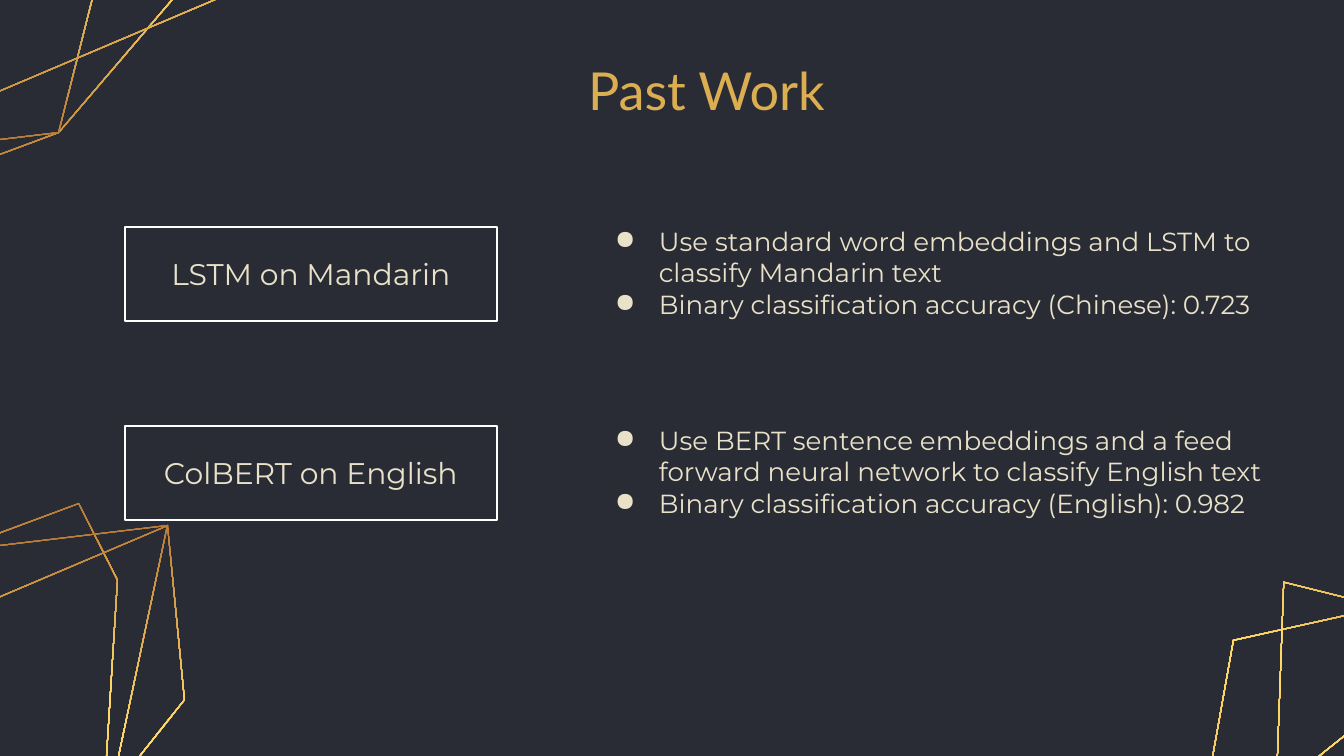
from dataclasses import dataclass
from math import cos, radians, sin

from lxml.etree import SubElement
from pptx import Presentation
from pptx.dml.color import RGBColor as Color
from pptx.enum.shapes import MSO_SHAPE as Shape
from pptx.enum.text import MSO_ANCHOR as Anchor, PP_ALIGN as Align
from pptx.oxml.ns import qn
from pptx.util import Pt

PX = 914400 / 134.4


@dataclass(frozen=True)
class Theme:
    background: str = "292C35"
    gold: str = "DCAE52"
    cream: str = "E9E2C9"
    outline: str = "FFFFFF"
    gradient: tuple = ((0, "AF7132"), (50, "FFDD6B"), (100, "DCAE52"))
    gradient_angle: float = 84.4
    heading_font: str = "Lato"
    body_font: str = "Montserrat"
    title_size: int = 28
    label_size: int = 16
    body_size: int = 14


THEME = Theme()

# Three overlapping polygons, clockwise, relative to the motif's left corner.
LEFT, LOWER_LEFT, UPPER_LEFT, TIP = 0, 80 + 158j, 170 - 199j, 388 - 225j
INNER_RIGHT, BOTTOM = 322 + 87j, 196 + 213j
MOTIF = (
    (LOWER_LEFT, LEFT, UPPER_LEFT, 299 - 247j, 338 - 170j, INNER_RIGHT),
    (BOTTOM, LOWER_LEFT, UPPER_LEFT, TIP, INNER_RIGHT),
    (BOTTOM, 4 - 62j, TIP, 405 - 50j),
)
# Left corner, clockwise turn in degrees, magnification.
MOTIF_PLACES = ((-220 + 750j, 0, 1), (229 - 66j, 180, 1), (1233 + 640j, 37, 1.24))
MOTIF_STROKE = 1

ROWS = (
    ("LSTM on Mandarin", 703, (
        "Use standard word embeddings and LSTM to classify Mandarin text",
        "Binary classification accuracy (Chinese): 0.723")),
    ("ColBERT on English", 745, (
        "Use BERT sentence embeddings and a feed forward neural network to classify English text",
        "Binary classification accuracy (English): 0.982")),
)
ROW_LEFT, ROW_TOP, ROW_PITCH = 125, 227, 199


def emu(*lengths):
    return [round(length * PX) for length in lengths]


def apply_format(target, values):
    for name, value in values.items():
        setattr(target, name, value)


def write_text(shape, lines, font, size, color, align):
    frame = shape.text_frame
    margins = dict.fromkeys(
        ("margin_left", "margin_top", "margin_right", "margin_bottom"), emu(13)[0])
    apply_format(frame, {"word_wrap": True, "vertical_anchor": Anchor.MIDDLE, **margins})
    frame.text = "\n".join(lines)
    for paragraph in frame.paragraphs:
        paragraph.alignment = align
        run_font = paragraph.runs[0].font
        apply_format(run_font, {"name": font, "size": Pt(size)})
        run_font.color.rgb = Color.from_string(color)


def add_bullet(paragraph):
    properties = paragraph._p.get_or_add_pPr()
    indent, hanging = emu(67, -44)
    properties.set("marL", str(indent))
    properties.set("indent", str(hanging))
    color = SubElement(properties, qn("a:buClr"))
    SubElement(color, qn("a:srgbClr"), val=THEME.cream)
    SubElement(properties, qn("a:buChar"), char="●")


def inset(corners, distance):
    """Move each side of a clockwise polygon inwards by the distance."""
    following = corners[1:] + corners[:1]
    normals = [1j * (end - start) / abs(end - start)
               for start, end in zip(corners, following)]
    moved = []
    for index, corner in enumerate(corners):
        before, after = normals[index - 1], normals[index]
        overlap = (before * after.conjugate()).real
        moved.append(corner + distance * (before + after) / (1 + overlap))
    return moved


def fill_gradient(shape, angle):
    shape.fill.gradient()
    gradient = shape._element.spPr.find(qn("a:gradFill"))
    for child in list(gradient):
        gradient.remove(child)
    stops = SubElement(gradient, qn("a:gsLst"))
    for position, value in THEME.gradient:
        stop = SubElement(stops, qn("a:gs"), pos=str(position * 1000))
        SubElement(stop, qn("a:srgbClr"), val=value)
    SubElement(gradient, qn("a:lin"), ang=str(round(angle * 60000)), scaled="0")


def add_motif(slide, corner, turn, magnification):
    rotation = magnification * complex(cos(radians(turn)), sin(radians(turn)))
    for polygon in MOTIF:
        outer = [corner + rotation * point for point in polygon]
        contours = [[emu(point.real, point.imag) for point in contour]
                    for contour in (outer, inset(outer, MOTIF_STROKE))]
        builder = slide.shapes.build_freeform(*contours[0][0])
        builder.add_line_segments(contours[0][1:])
        builder.move_to(*contours[1][0])
        builder.add_line_segments(contours[1][1:])
        shape = builder.convert_to_shape()
        shape.shadow.inherit = False
        shape.line.fill.background()
        fill_gradient(shape, THEME.gradient_angle + turn)


def add_title(slide, left, top, width, height):
    box = slide.shapes.add_textbox(*emu(left, top, width, height))
    write_text(box, ["Past Work"], THEME.heading_font, THEME.title_size,
               THEME.gold, Align.CENTER)


def add_row(slide, left, top, label, text_width, findings):
    """Place a framed label with its bulleted findings to the right."""
    frame = slide.shapes.add_shape(Shape.RECTANGLE, *emu(left, top, 372, 94))
    frame.shadow.inherit = False
    frame.fill.background()
    frame.line.color.rgb = Color.from_string(THEME.outline)
    frame.line.width = Pt(0.75)
    write_text(frame, [label], THEME.body_font, THEME.label_size,
               THEME.cream, Align.CENTER)

    box = slide.shapes.add_textbox(*emu(left + 454, top - 27, text_width, 145))
    write_text(box, findings, THEME.body_font, THEME.body_size,
               THEME.cream, Align.LEFT)
    for paragraph in box.text_frame.paragraphs:
        add_bullet(paragraph)


def main():
    presentation = Presentation()
    apply_format(presentation, dict(zip(("slide_width", "slide_height"), emu(1344, 756))))
    slide = presentation.slides.add_slide(presentation.slide_layouts[6])
    slide.background.fill.solid()
    slide.background.fill.fore_color.rgb = Color.from_string(THEME.background)

    for place in MOTIF_PLACES:
        add_motif(slide, *place)
    add_title(slide, 328, 58, 757, 63)
    for index, row in enumerate(ROWS):
        add_row(slide, ROW_LEFT, ROW_TOP + index * ROW_PITCH, *row)
    presentation.save("out.pptx")


if __name__ == "__main__":
    main()
